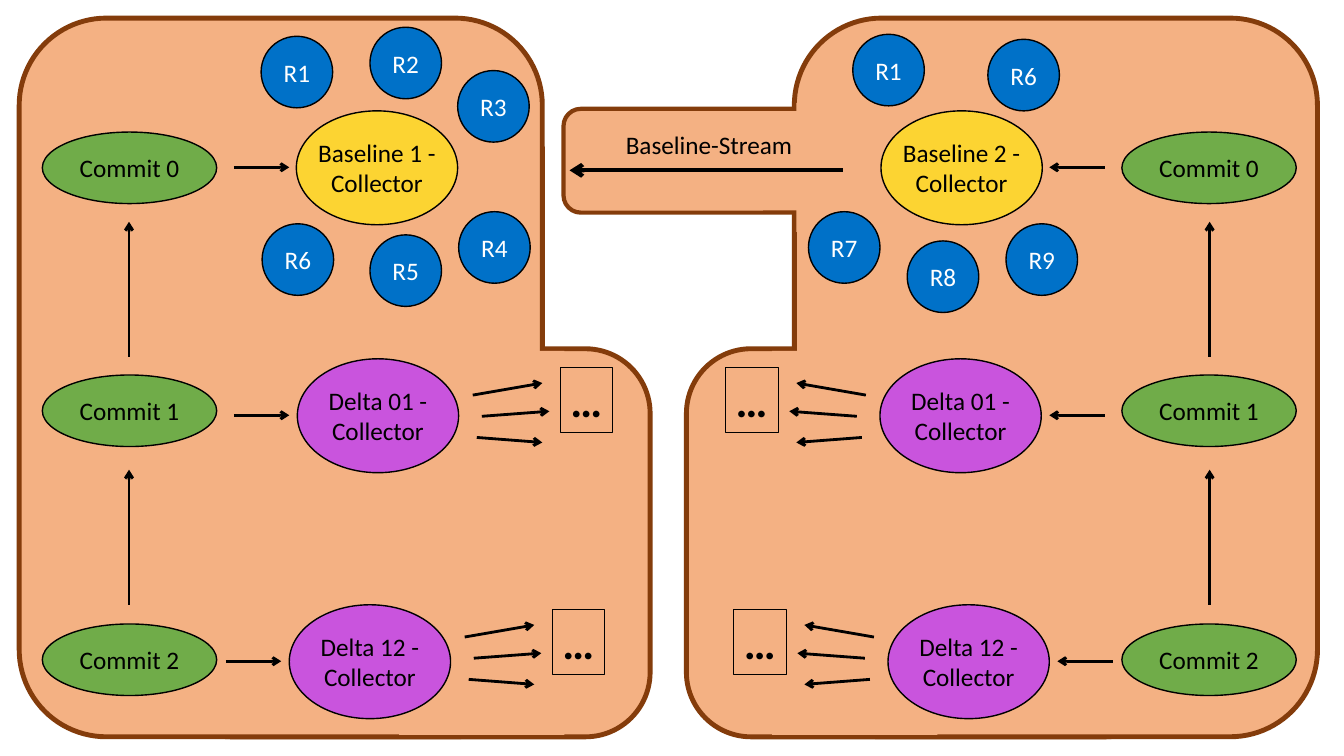
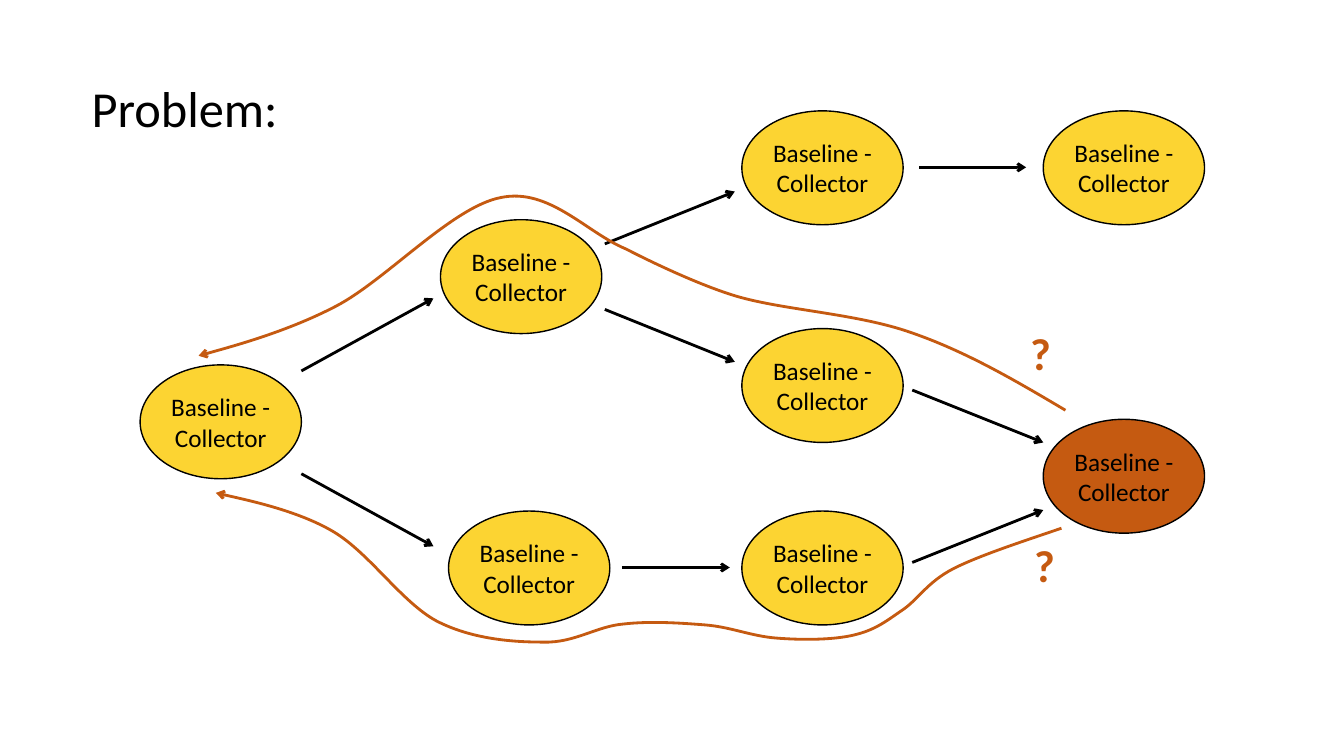
"""Build two diagram slides of commits, collectors and streams."""
from lxml import etree
from pptx import Presentation, util as u
from pptx.dml.color import RGBColor
from pptx.enum import shapes, text
from pptx.oxml.ns import qn

CELL = u.Inches(0.1)
COLUMNS, ROWS = 133.33, 75
CONTENT_MIRROR, BODY_MIRROR = 132.8, 132.6
BLACK = RGBColor(0x00, 0x00, 0x00)
WHITE = RGBColor(0xFF, 0xFF, 0xFF)
PEACH = RGBColor(0xF4, 0xB1, 0x83)
BROWN = RGBColor(0x84, 0x3C, 0x0B)
GREEN = RGBColor(0x70, 0xAC, 0x49)
BLUE = RGBColor(0x00, 0x71, 0xC8)
YELLOW = RGBColor(0xFC, 0xD4, 0x32)
PURPLE = RGBColor(0xC9, 0x54, 0xDD)
ORANGE = RGBColor(0xC5, 0x5A, 0x11)

LABEL = {"name": "Calibri", "size": u.Pt(18), "bold": False}
TITLE = {**LABEL, "size": u.Pt(36)}
SYMBOL = {**LABEL, "size": u.Pt(32), "bold": True}
CENTRED = {"word_wrap": False, "vertical_anchor": text.MSO_ANCHOR.MIDDLE}
FITTED = {"word_wrap": False, "vertical_anchor": text.MSO_ANCHOR.TOP,
          "auto_size": text.MSO_AUTO_SIZE.SHAPE_TO_FIT_TEXT}

OVAL = shapes.MSO_SHAPE.OVAL
RECTANGLE = shapes.MSO_SHAPE.RECTANGLE
ROUNDED = shapes.MSO_SHAPE.ROUNDED_RECTANGLE
COMMIT_SIZE, COLLECTOR_SIZE, RESOURCE_SIZE = (17.3, 7.1), (16, 11.3), (7.1, 7.1)
FAN = [((17.4, 3.6), (24.3, 2.4)), ((18.3, 5.7), (25, 5.2)), ((17.8, 7.8), (24.3, 8.3))]

LEFT_RESOURCES = [("R1", 25.9, 3.6), ("R2", 36.7, 2.7), ("R3", 45.4, 7),
                  ("R4", 45.5, 21), ("R5", 36.7, 23.3), ("R6", 26, 22.2)]
RIGHT_RESOURCES = [("R1", 84.6, 3.4), ("R6", 98, 3.9), ("R9", 99.8, 22.2),
                   ("R8", 90, 23.9), ("R7", 80.2, 21)]
COLLECTORS = [(44.5, 50.7), (73.6, 11), (73.6, 50.7), (73.6, 32.6),
              (103.5, 11), (43.7, 21.8), (13.9, 36.2)]
LINKS = [((61.7, 56.3), (72.4, 56.3)), ((60, 30.7), (72.9, 35.9)),
         ((60, 24.2), (72.9, 19)), ((29.9, 47), (43, 54.2)),
         ((29.9, 36.8), (43, 29.6)), ((90.5, 38.7), (103.5, 43.9)),
         ((90.5, 55.8), (103.5, 50.6)), ((91.2, 16.6), (101.8, 16.6))]
UPPER_ROUTE = [(105.7, 40.7), (100.8, 37.8), (95.9, 34.9), (90.4, 33),
               (85, 31.1), (77.9, 30.8), (73.1, 29.4),
               (68.4, 28), (62.1, 24.7), (62.1, 24.7),
               (58.2, 23.1), (54.5, 18.6), (49.7, 19.6),
               (44.9, 20.5), (38.3, 27.8), (33.3, 30.4),
               (28.3, 33), (19.7, 35.3), (19.7, 35.3)]
LOWER_ROUTE = [(105.3, 52.4), (101.2, 53.8), (97.2, 55.1), (94.6, 56.4),
               (91.9, 57.8), (91.1, 59.5), (89.4, 60.6),
               (87.8, 61.7), (86.8, 62.5), (84.7, 63),
               (82.6, 63.5), (79.5, 63.5), (77, 63.3),
               (74.5, 63.1), (72.5, 62.2), (70, 62),
               (67.5, 61.8), (64.5, 61.6), (61.9, 61.9),
               (59.2, 62.1), (57, 63.8), (53.9, 63.7),
               (50.8, 63.7), (46.8, 63.4), (43.3, 61.6),
               (39.8, 59.7), (36.6, 54.8), (33, 52.7),
               (29.4, 50.6), (21.4, 48.9), (21.4, 48.9)]


def cells(*counts):
    """Turn counts of grid cells into lengths."""
    return [round(count * CELL) for count in counts]


def reflect(left, width=0, mirror=None):
    """Return a left edge, reflected when a mirror sum is given."""
    return left if mirror is None else mirror - left - width


def apply_format(target, values):
    """Set every attribute named in a dict of format values."""
    for name, value in values.items():
        setattr(target, name, value)


def write(box, lines, font=LABEL, color=BLACK, frame=CENTRED,
          align=text.PP_ALIGN.CENTER):
    """Write one paragraph per line into a box."""
    apply_format(box.text_frame, frame)
    for index, line in enumerate(lines):
        para = box.text_frame.add_paragraph() if index else box.text_frame.paragraphs[0]
        para.alignment = align
        span = para.add_run()
        span.text = line
        apply_format(span.font, font)
        span.font.color.rgb = color


def add_box(page, kind, left, top, size, fill=None, line=None, weight=1):
    """Add a preset shape with an optional fill and outline."""
    box = page.shapes.add_shape(kind, *cells(left, top, *size))
    box.shadow.inherit = False
    if fill is None:
        box.fill.background()
    else:
        box.fill.solid()
        box.fill.fore_color.rgb = fill
    if line is None:
        box.line.fill.background()
    else:
        box.line.color.rgb = line
        box.line.width = u.Pt(weight)
    return box


def add_oval(page, left, top, size, lines, fill, color=BLACK):
    """Add a labelled ellipse."""
    write(add_box(page, OVAL, left, top, size, fill, BLACK), lines, color=color)


def add_collector(page, left, top, name, fill=YELLOW):
    """Add a collector ellipse with its two-line label."""
    add_oval(page, left, top, COLLECTOR_SIZE, [f"{name} -", "Collector"], fill)


def add_text(page, left, top, size, line, font=LABEL, color=BLACK):
    """Add a left-aligned text box."""
    box = page.shapes.add_textbox(*cells(left, top, *size))
    write(box, [line], font, color, FITTED, text.PP_ALIGN.LEFT)


def point_line(shape, color, weight):
    """Style a line and give its end an open arrowhead."""
    shape.line.color.rgb = color
    shape.line.width = u.Pt(weight)
    etree.SubElement(shape.line._get_or_add_ln(), qn("a:tailEnd"), type="arrow")


def add_arrow(page, start, end, weight=2, mirror=None):
    """Add a straight arrow, reflected when a mirror sum is given."""
    ends = cells(reflect(start[0], 0, mirror), start[1],
                 reflect(end[0], 0, mirror), end[1])
    arrow = page.shapes.add_connector(shapes.MSO_CONNECTOR.STRAIGHT, *ends)
    point_line(arrow, BLACK, weight)
    etree.SubElement(arrow.element.spPr, qn("a:effectLst"))


def add_route(page, points):
    """Add a curved arrow from a start point and Bézier triples."""
    corners = [cells(*point) for point in points]
    builder = page.shapes.build_freeform(*corners[0])
    builder.add_line_segments(corners[1:], close=False)
    route = builder.convert_to_shape()
    route.shadow.inherit = False
    route.fill.background()
    outline = route.element.xpath(".//a:path")[0]
    segments = list(outline)[1:]
    for first in range(0, len(segments), 3):
        curve = etree.SubElement(outline, qn("a:cubicBezTo"))
        for segment in segments[first:first + 3]:
            curve.append(segment[0])
            outline.remove(segment)
    point_line(route, ORANGE, 2)


def add_body(page, mirror=None):
    """Add the two joined outlines behind one half."""
    for left, top, size in [(16.5, 34.6, (48, 38.5)), (1.9, 1.8, (51.9, 71.3))]:
        add_box(page, ROUNDED, reflect(left, size[0], mirror), top, size,
                PEACH, BROWN, 3.5)
    add_box(page, RECTANGLE, reflect(39.6, 16.4, mirror), 34.8, (16.4, 38.1), PEACH)


def add_delta(page, name, left, top, fan_top, mirror=None):
    """Add a delta collector with its fan of arrows and ellipsis box."""
    add_collector(page, reflect(left, COLLECTOR_SIZE[0], mirror), top, name, PURPLE)
    for start, end in FAN:
        add_arrow(page, (left + start[0], fan_top + start[1]),
                  (left + end[0], fan_top + end[1]), mirror=mirror)
    box = add_box(page, RECTANGLE, reflect(left + 26.1, 5.2, mirror),
                  fan_top + 0.9, (5.2, 6.4), line=BLACK, weight=0.75)
    write(box, ["…"], SYMBOL, frame=FITTED, align=text.PP_ALIGN.LEFT)


def add_half(page, baseline, resources, mirror=None):
    """Add the commits, collectors and resources of one half."""
    for number, top in enumerate((13.1, 37.2, 61.9)):
        add_oval(page, reflect(4.2, COMMIT_SIZE[0], mirror), top, COMMIT_SIZE,
                 [f"Commit {number}"], GREEN)
    for left, level in [(23.2, 16.6), (23.2, 41.2), (22.4, 65.6)]:
        add_arrow(page, (left, level), (left + 5.5, level), mirror=mirror)
    for bottom in (35.4, 60):
        add_arrow(page, (12.8, bottom), (12.8, bottom - 13.4), mirror=mirror)
    add_collector(page, reflect(29.4, COLLECTOR_SIZE[0], mirror), 11, baseline)
    add_delta(page, "Delta 01", 29.5, 35.6, 35.6, mirror)
    add_delta(page, "Delta 12", 28.7, 60, 59.6, mirror)
    for name, left, top in resources:
        add_oval(page, left, top, RESOURCE_SIZE, [name], BLUE, WHITE)


def build_stream_page(page):
    """Draw two mirrored repositories joined by the baseline stream."""
    add_body(page, BODY_MIRROR)
    add_box(page, ROUNDED, 55.9, 10.8, (28.1, 10.3), PEACH, BROWN, 3)
    add_box(page, RECTANGLE, 79, 10.2, (6.5, 12.8), PEACH)
    add_body(page)
    add_half(page, "Baseline 1", LEFT_RESOURCES)
    add_arrow(page, (83.6, 16.9), (56.5, 16.9), 3)
    add_text(page, 61.1, 12.3, (18.7, 4), "Baseline-Stream")
    add_half(page, "Baseline 2", RIGHT_RESOURCES, CONTENT_MIRROR)


def build_problem_page(page):
    """Draw the collector graph with its two competing routes."""
    add_text(page, 8.1, 7.2, (20.7, 7.1), "Problem:", TITLE)
    for left, top in COLLECTORS:
        add_collector(page, left, top, "Baseline")
    add_collector(page, 103.5, 41.6, "Baseline", ORANGE)
    for start, end in LINKS:
        add_arrow(page, start, end)
    for route in (UPPER_ROUTE, LOWER_ROUTE):
        add_route(page, route)
    for left, top in [(101.2, 31.8), (101.6, 52.9)]:
        add_text(page, left, top, (4.1, 6.4), "?", SYMBOL, ORANGE)


def main():
    """Build and save the deck."""
    deck = Presentation()
    deck.slide_width, deck.slide_height = cells(COLUMNS, ROWS)
    for build in (build_stream_page, build_problem_page):
        build(deck.slides.add_slide(deck.slide_layouts[6]))
    deck.save("out.pptx")


if __name__ == "__main__":
    main()
